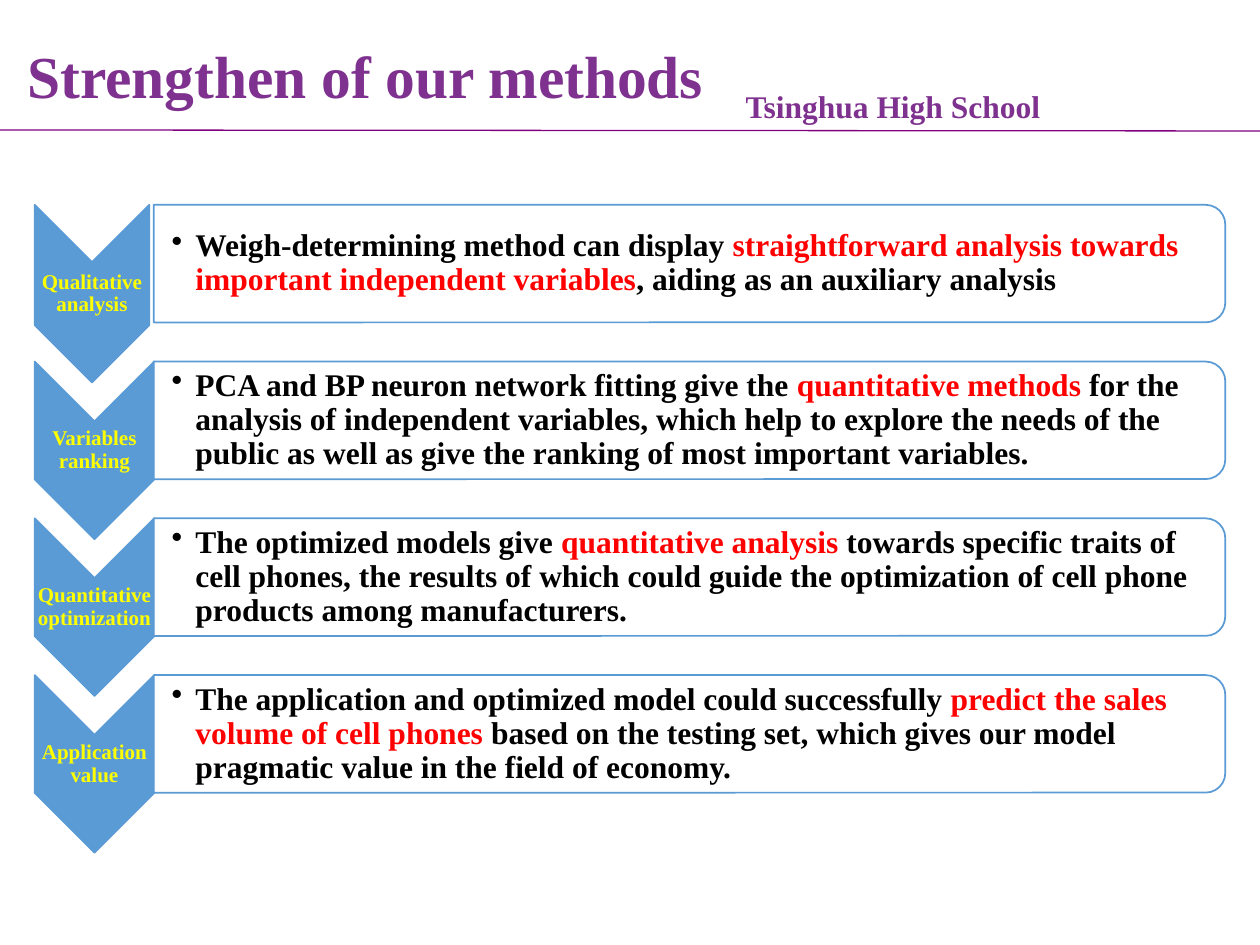
from dataclasses import dataclass
from typing import NamedTuple

from lxml import etree
from pptx import Presentation
from pptx.dml.color import RGBColor
from pptx.enum.shapes import MSO_CONNECTOR, MSO_SHAPE
from pptx.enum.text import MSO_ANCHOR, MSO_AUTO_SIZE, PP_ALIGN
from pptx.oxml.ns import qn
from pptx.shapes.autoshape import Shape
from pptx.slide import Slide
from pptx.util import Cm, Length, Pt

CHEVRON = MSO_SHAPE.CHEVRON
ROUNDED_END = MSO_SHAPE.ROUND_2_SAME_RECTANGLE
STRAIGHT = MSO_CONNECTOR.STRAIGHT
MIDDLE = MSO_ANCHOR.MIDDLE
CENTER = PP_ALIGN.CENTER
GROW = MSO_AUTO_SIZE.SHAPE_TO_FIT_TEXT


@dataclass(frozen=True)
class Theme:
    font: str = "Times New Roman"
    purple: RGBColor = RGBColor(0x7E, 0x31, 0x8E)
    rule: RGBColor = RGBColor(0x80, 0x00, 0x80)
    blue: RGBColor = RGBColor(0x5B, 0x9B, 0xD5)
    white: RGBColor = RGBColor(0xFF, 0xFF, 0xFF)
    black: RGBColor = RGBColor(0x00, 0x00, 0x00)
    red: RGBColor = RGBColor(0xFF, 0x00, 0x00)
    yellow: RGBColor = RGBColor(0xFF, 0xFF, 0x00)
    title_size: Length = Pt(34)
    body_size: Length = Pt(18)
    label_size: Length = Pt(12)
    line_spacing: float = 0.9


THEME = Theme()


class Area(NamedTuple):
    left: Length
    top: Length
    width: Length
    height: Length


class Method(NamedTuple):
    label: str
    before: str
    highlight: str
    after: str
    arrow_width: Length = Cm(2.41)


METHODS = [
    Method("Qualitative analysis",
           "Weigh-determining method can display ",
           "straightforward analysis towards important independent variables",
           ", aiding as an auxiliary analysis",
           Cm(2.31)),
    Method("Variables ranking",
           "PCA and BP neuron network fitting give the ",
           "quantitative methods ",
           "for the analysis of independent variables, which help to explore the needs "
           "of the public as well as give the ranking of most important variables."),
    Method("Quantitative optimization",
           "The optimized models give ",
           "quantitative analysis ",
           "towards specific traits of cell phones, the results of which could guide "
           "the optimization of cell phone products among manufacturers."),
    Method("Application value",
           "The application and optimized model could successfully ",
           "predict the sales volume of cell phones",
           " based on the testing set, which gives our model pragmatic value in the "
           "field of economy."),
]

SLIDE_WIDTH, SLIDE_HEIGHT = Cm(25.4), Cm(19.05)
FIRST_TOP, ROW_PITCH = Cm(4.13), Cm(3.16)
ARROW_LEFT, ARROW_HEIGHT = Cm(0.7), Cm(3.58)
PANEL_LEFT, PANEL_WIDTH, PANEL_HEIGHT = Cm(3.1), Cm(21.6), Cm(2.37)
PANEL_TEXT_WIDTH = Cm(21.49)
PANEL_INSET, THIN_INSET = Cm(0.36), Cm(0.03)
BULLET_INDENT = Cm(0.48)


def add_turned_shape(page: Slide, kind: MSO_SHAPE, area: Area, fill: RGBColor) -> Shape:
    """Add a shape turned clockwise by 90 degrees that shows exactly in area."""
    shift = (area.width - area.height) // 2
    shape = page.shapes.add_shape(
        kind, area.left + shift, area.top - shift, area.height, area.width)
    shape.rotation = 90
    shape.shadow.inherit = False
    shape.fill.solid()
    shape.fill.fore_color.rgb = fill
    shape.line.color.rgb = THEME.blue
    shape.line.width = Pt(1)
    return shape


def set_opacity(shape: Shape, percent: int) -> None:
    color = shape.fill._xPr.find(qn("a:solidFill"))[0]
    etree.SubElement(color, qn("a:alpha"), val=str(percent * 1000))


def add_text(page: Slide, area: Area, spans: list[tuple[str, RGBColor]],
             size: Length, bulleted: bool = False) -> Shape:
    """Add a bold one-paragraph box; the first span sets the main colour."""
    box = page.shapes.add_textbox(*area)
    box.text_frame.word_wrap = True
    para = box.text_frame.paragraphs[0]
    if bulleted:
        properties = para._p.get_or_add_pPr()
        properties.set("marL", str(BULLET_INDENT))
        properties.set("indent", str(-BULLET_INDENT))
        etree.SubElement(properties, qn("a:buChar"), char="•")
    main_color = spans[0][1]
    para.font.name = THEME.font
    para.font.size = size
    para.font.bold = True
    para.font.color.rgb = main_color
    for text, color in spans:
        span = para.add_run()
        span.text = text
        if color != main_color:
            span.font.color.rgb = color
    return box


def center_vertically(box: Shape) -> None:
    box.text_frame.vertical_anchor = MIDDLE
    box.text_frame.paragraphs[0].line_spacing = THEME.line_spacing


def set_insets(box: Shape, left: Length) -> None:
    """Set the left inset and keep the other three thin."""
    frame = box.text_frame
    frame.margin_left = left
    frame.margin_top = frame.margin_right = frame.margin_bottom = THIN_INSET


def add_header(page: Slide) -> None:
    rule = page.shapes.add_connector(STRAIGHT, 0, Cm(2.62), SLIDE_WIDTH, Cm(2.64))
    rule.line.color.rgb = THEME.rule
    rule.line.width = Pt(0.75)
    etree.SubElement(rule._element.spPr, qn("a:effectLst"))

    school = add_text(page, Area(Cm(14.78), Cm(1.63), Cm(6.5), Cm(1.02)),
                      [("Tsinghua High School", THEME.purple)], THEME.body_size)
    school.text_frame.word_wrap = False
    school.text_frame.auto_size = GROW

    title = add_text(page, Area(Cm(0.3), Cm(0), Cm(22.86), Cm(3.18)),
                     [("Strengthen of our methods", THEME.purple)], THEME.title_size)
    center_vertically(title)


def add_method(page: Slide, method: Method, top: Length) -> None:
    arrow = Area(ARROW_LEFT, top, method.arrow_width, ARROW_HEIGHT)
    add_turned_shape(page, CHEVRON, arrow, THEME.blue)

    notch = method.arrow_width // 2
    label_area = Area(ARROW_LEFT, top + notch, method.arrow_width, ARROW_HEIGHT - 2 * notch)
    label = add_text(page, label_area, [(method.label, THEME.yellow)], THEME.label_size)
    center_vertically(label)
    set_insets(label, THIN_INSET)
    label.text_frame.paragraphs[0].alignment = CENTER

    panel_area = Area(PANEL_LEFT, top, PANEL_WIDTH, PANEL_HEIGHT)
    panel = add_turned_shape(page, ROUNDED_END, panel_area, THEME.white)
    set_opacity(panel, 90)

    spans = [(method.before, THEME.black), (method.highlight, THEME.red),
             (method.after, THEME.black)]
    text_area = Area(PANEL_LEFT, top + Cm(0.12), PANEL_TEXT_WIDTH, PANEL_HEIGHT - Cm(0.24))
    description = add_text(page, text_area, spans, THEME.body_size, bulleted=True)
    center_vertically(description)
    set_insets(description, PANEL_INSET)


def main() -> None:
    deck = Presentation()
    deck.slide_width, deck.slide_height = SLIDE_WIDTH, SLIDE_HEIGHT
    page = deck.slides.add_slide(deck.slide_layouts[6])
    add_header(page)
    for row, method in enumerate(METHODS):
        add_method(page, method, FIRST_TOP + row * ROW_PITCH)
    deck.save("out.pptx")


if __name__ == "__main__":
    main()
